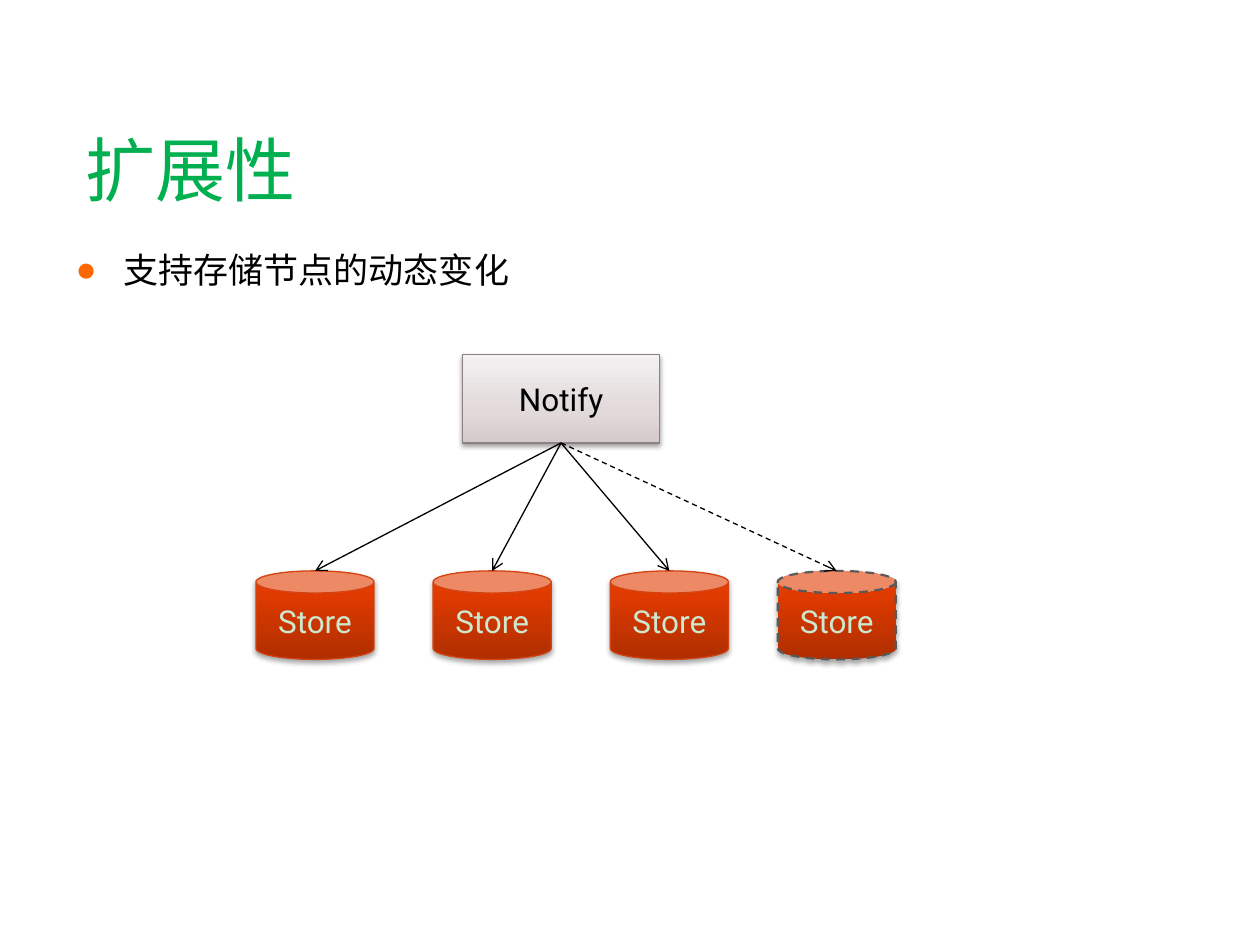
from dataclasses import dataclass

import lxml.etree
import pptx
import pptx.dml.color
import pptx.enum.dml
import pptx.enum.shapes
import pptx.enum.text
import pptx.oxml.ns
import pptx.util

COLUMNS, ROWS = 64, 48
CELL = pptx.util.Inches(10) / COLUMNS
SHAPES = pptx.enum.shapes.MSO_SHAPE
DASH = pptx.enum.dml.MSO_LINE.DASH
qn = pptx.oxml.ns.qn


@dataclass
class Area:
    column: float
    row: float
    columns: float
    rows: float

    @property
    def center(self) -> float:
        return self.column + self.columns / 2


@dataclass
class Style:
    stops: tuple
    line: str
    text: str
    shadow_alpha: int
    shadow_distance: float


@dataclass
class Store:
    column: float
    dynamic: bool = False


NOTIFY = Area(23.5, 18, 10, 4.5)
NOTIFY_STYLE = Style(((0, "D5CACB"), (35, "E1D9DA"), (100, "F4F0F1")),
                     "8E8182", "000000", 38, 1.6)
STORE_STYLE = Style(((0, "AF2E00"), (80, "E33B00"), (100, "E43B00")),
                    "D34412", "CCE8CF", 35, 1.8)
STORES = [Store(13), Store(22), Store(31), Store(39.5, dynamic=True)]


def grid(cells: float) -> int:
    return round(cells * CELL)


def color(value: str) -> pptx.dml.color.RGBColor:
    return pptx.dml.color.RGBColor.from_string(value)


def add_child(parent, tag: str, **attributes):
    values = {name: str(value) for name, value in attributes.items()}
    return lxml.etree.SubElement(parent, qn(tag), values)


def place(shape, area: Area) -> None:
    shape.left, shape.top = grid(area.column), grid(area.row)
    shape.width, shape.height = grid(area.columns), grid(area.rows)


def write(shape, text: str, size: float, font: str, text_color: str,
          align, anchor):
    frame = shape.text_frame
    frame.text = text
    frame.word_wrap = True
    frame.vertical_anchor = anchor
    para = frame.paragraphs[0]
    para.alignment = align
    span = para.runs[0]
    span.font.size = pptx.util.Pt(size)
    span.font.name = font
    span.font.color.rgb = color(text_color)
    return para


def set_line(line, line_color: str, width: float, dashed: bool) -> None:
    line.color.rgb = color(line_color)
    line.width = pptx.util.Pt(width)
    if dashed:
        line.dash_style = DASH


def set_gradient(shape, stops: tuple) -> None:
    shape.fill.gradient()
    shape.fill.gradient_angle = 90
    stop_list = shape.element.spPr.find(".//" + qn("a:gsLst"))
    for stop in list(stop_list):
        stop_list.remove(stop)
    for position, value in stops:
        stop = add_child(stop_list, "a:gs", pos=position * 1000)
        add_child(stop, "a:srgbClr", val=value)


def set_shadow(shape, alpha: int, distance: float) -> None:
    shape.shadow.inherit = False
    effects = shape.element.spPr.find(qn("a:effectLst"))
    shadow = add_child(effects, "a:outerShdw", blurRad=pptx.util.Pt(3.1),
                       dist=pptx.util.Pt(distance), dir=90 * 60000,
                       rotWithShape=0)
    shade = add_child(shadow, "a:srgbClr", val="000000")
    add_child(shade, "a:alpha", val=alpha * 1000)


def add_node(page, kind, area: Area, text: str, style: Style,
             dashed: bool = False) -> None:
    node = page.shapes.add_shape(kind, 0, 0, 0, 0)
    place(node, area)
    set_gradient(node, style.stops)
    set_line(node.line, "595959" if dashed else style.line,
             1.25 if dashed else 0.75, dashed)
    set_shadow(node, style.shadow_alpha, style.shadow_distance)
    write(node, text, 18, "Roboto", style.text,
          pptx.enum.text.PP_ALIGN.CENTER, pptx.enum.text.MSO_ANCHOR.MIDDLE)


def add_arrow(page, source: Area, target: Area, dashed: bool) -> None:
    arrow = page.shapes.add_connector(
        pptx.enum.shapes.MSO_CONNECTOR.STRAIGHT,
        grid(source.center), grid(source.row + source.rows),
        grid(target.center), grid(target.row))
    set_line(arrow.line, "000000", 0.75, dashed)
    add_child(arrow.line._get_or_add_ln(), "a:tailEnd", type="arrow")
    add_child(arrow._element.spPr, "a:effectLst")


def add_texts(page) -> None:
    left = pptx.enum.text.PP_ALIGN.LEFT
    title, body = page.placeholders
    place(title, Area(3.7, 6.4, 57.1, 4.3))
    write(title, "扩展性", 40, "Roboto", "00B050", left,
          pptx.enum.text.MSO_ANCHOR.MIDDLE)
    place(body, Area(3.2, 12.3, 57.6, 30.6))
    para = write(body, "支持存储节点的动态变化", 20, "Arial", "000000", left,
                 pptx.enum.text.MSO_ANCHOR.TOP)
    para.space_before = pptx.util.Pt(4)
    properties = para._p.get_or_add_pPr()
    indent = pptx.util.Inches(0.38)
    properties.set("marL", str(indent))
    properties.set("indent", str(-indent))
    bullet_color = add_child(properties, "a:buClr")
    add_child(bullet_color, "a:srgbClr", val="FF6600")
    add_child(properties, "a:buFont", typeface="Arial")
    add_child(properties, "a:buChar", char="●")


def main() -> None:
    deck = pptx.Presentation()
    deck.slide_width, deck.slide_height = grid(COLUMNS), grid(ROWS)
    page = deck.slides.add_slide(deck.slide_layouts[1])
    add_texts(page)
    add_node(page, SHAPES.RECTANGLE, NOTIFY, "Notify", NOTIFY_STYLE)
    areas = [Area(store.column, 29, 6, 4.5) for store in STORES]
    for store, area in zip(STORES, areas):
        add_node(page, SHAPES.CAN, area, "Store", STORE_STYLE, store.dynamic)
    for store, area in zip(STORES, areas):
        add_arrow(page, NOTIFY, area, store.dynamic)
    deck.save("out.pptx")


if __name__ == "__main__":
    main()
